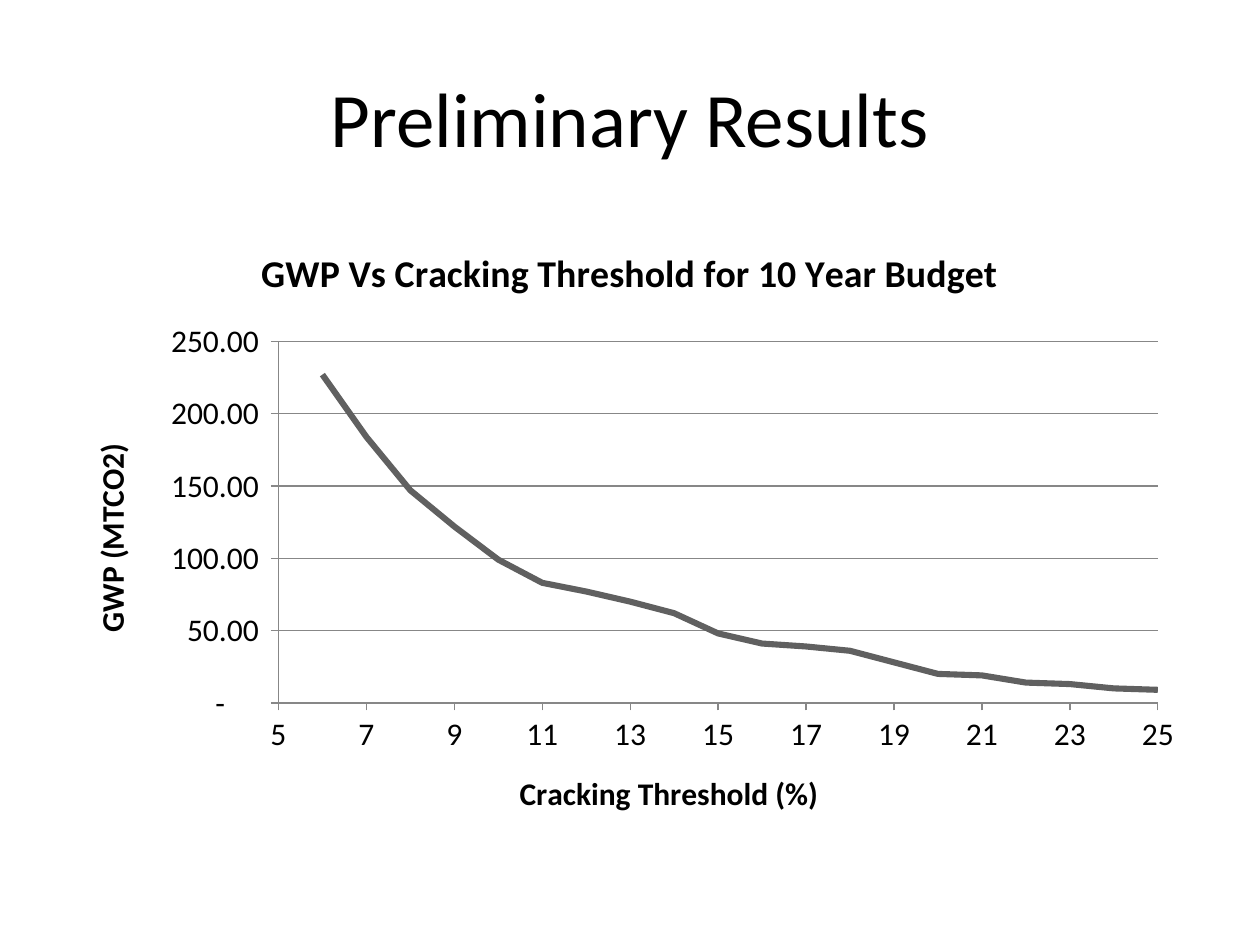
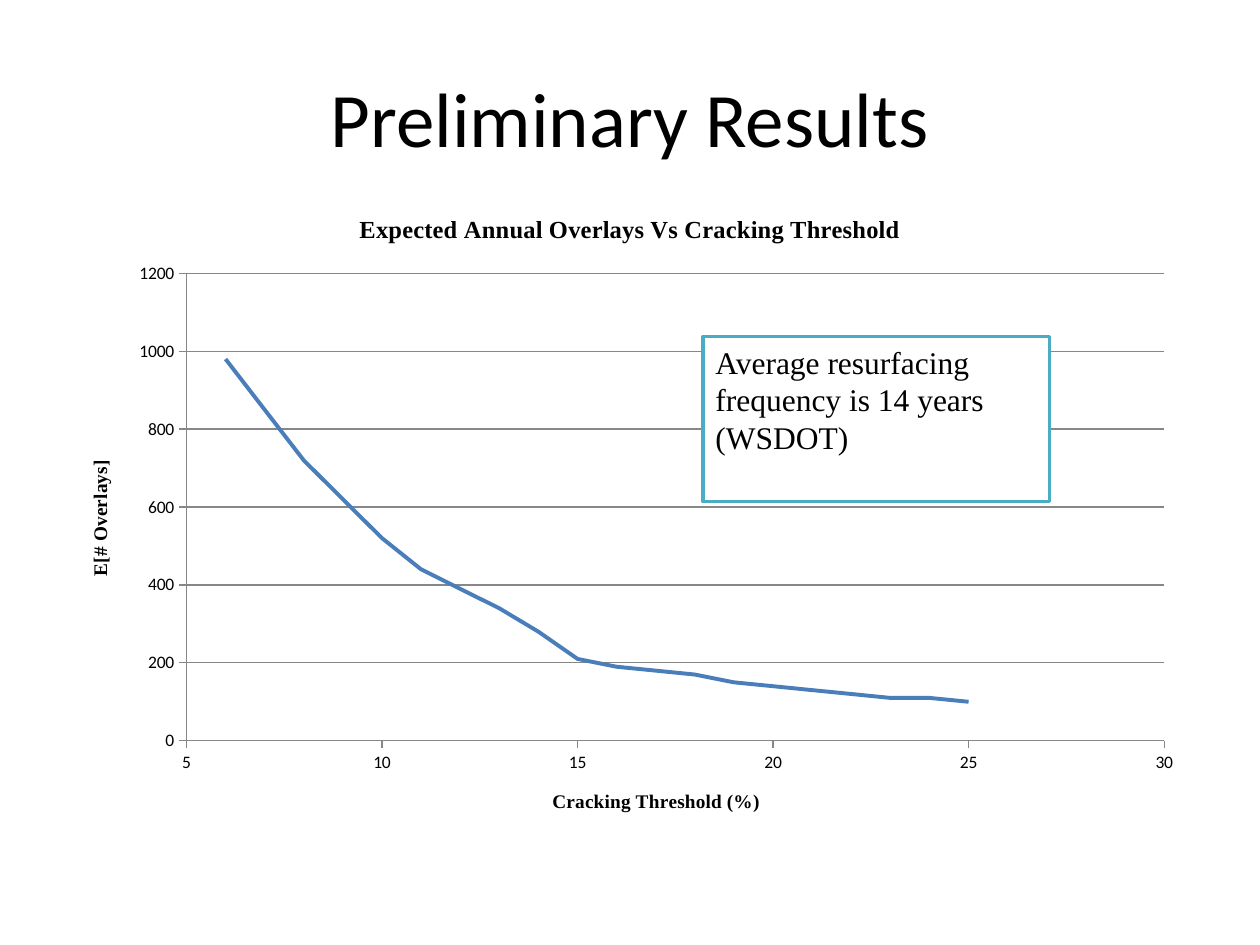
from dataclasses import dataclass

from lxml.etree import SubElement
from pptx import Presentation
from pptx.chart.data import XyChartData
from pptx.dml.color import RGBColor
from pptx.enum.chart import XL_CHART_TYPE, XL_TICK_LABEL_POSITION, XL_TICK_MARK
from pptx.enum.shapes import MSO_SHAPE
from pptx.enum.text import MSO_ANCHOR, PP_ALIGN
from pptx.oxml.ns import qn
from pptx.util import Pt

PX = 9144  # EMU per px, 100 px to the inch


@dataclass(frozen=True)
class Theme:
    text: RGBColor = RGBColor(0, 0, 0)
    paper: RGBColor = RGBColor(255, 255, 255)
    rule: RGBColor = RGBColor(0x87, 0x87, 0x87)
    gray: RGBColor = RGBColor(0x60, 0x60, 0x60)
    blue: RGBColor = RGBColor(0x4A, 0x7E, 0xBB)
    teal: RGBColor = RGBColor(0x4B, 0xAC, 0xC6)
    sans: str = "Calibri"
    serif: str = "Times New Roman"
    heading_size: int = 44
    note_size: int = 18


THEME = Theme()
THRESHOLDS = range(6, 26)
RESULTS = [
    dict(
        title="GWP Vs Cracking Threshold for 10 Year Budget",
        y_title="GWP (MTCO2)",
        values=[227, 184, 147, 122, 99, 83, 77, 70, 62, 48,
                41, 39, 36, 28, 20, 19, 14, 13, 10, 9],
        frame=(50, 175, 900, 495), plot=(221, 271, 698, 287),
        x_scale=(5, 25, 2), y_scale=(0, 250, 50),
        y_format='_(* #,##0.00_);_(* \\(#,##0.00\\);_(* "-"??_);_(@_)',
        title_font=THEME.sans, sizes=(21.6, 18, 18),
        color=THEME.gray, width=3.5,
    ),
    dict(
        title="Expected Annual Overlays Vs Cracking Threshold",
        y_title="E[# Overlays]",
        values=[980, 850, 720, 620, 520, 440, 390, 340, 280, 210,
                190, 180, 170, 150, 140, 130, 120, 110, 110, 100],
        frame=(50, 150, 900, 517), plot=(148, 217, 776, 371),
        x_scale=(5, 30, 5), y_scale=(0, 1200, 200),
        y_format="General",
        title_font=THEME.serif, sizes=(14, 11, 10),
        color=THEME.blue, width=2.25,
    ),
]


def px(*lengths):
    return [length * PX for length in lengths]


def add_text(paragraph, text, size, font, bold=False):
    run = paragraph.add_run()
    run.text = text
    run.font.size = Pt(size)
    run.font.name = font
    run.font.bold = bold
    run.font.color.rgb = THEME.text


deck = Presentation()
deck.slide_width, deck.slide_height = px(1000, 750)

for result in RESULTS:
    slide = deck.slides.add_slide(deck.slide_layouts[6])
    heading = slide.shapes.add_textbox(*px(50, 30, 900, 125)).text_frame
    heading.word_wrap = True
    heading.vertical_anchor = MSO_ANCHOR.MIDDLE
    heading.paragraphs[0].alignment = PP_ALIGN.CENTER
    add_text(heading.paragraphs[0], "Preliminary Results", THEME.heading_size, THEME.sans)

    data = XyChartData()
    points = data.add_series("Series 1")
    for threshold, value in zip(THRESHOLDS, result["values"]):
        points.add_data_point(threshold, value)
    chart = slide.shapes.add_chart(
        XL_CHART_TYPE.XY_SCATTER_SMOOTH_NO_MARKERS, *px(*result["frame"]), data
    ).chart
    title_size, axis_title_size, label_size = result["sizes"]
    chart.has_legend = False
    chart.font.size = Pt(label_size)
    chart.font.name = THEME.sans
    chart.font.color.rgb = THEME.text
    add_text(chart.chart_title.text_frame.paragraphs[0], result["title"],
             title_size, result["title_font"], bold=True)
    chart.chart_title.include_in_layout = False

    curve = chart.plots[0].series[0]
    chart.plots[0].vary_by_categories = False
    curve.smooth = True
    curve.format.line.color.rgb = result["color"]
    curve.format.line.width = Pt(result["width"])

    for axis, caption, scale, number_format in (
        (chart.category_axis, "Cracking Threshold (%)", result["x_scale"], "General"),
        (chart.value_axis, result["y_title"], result["y_scale"], result["y_format"]),
    ):
        axis.minimum_scale, axis.maximum_scale, axis.major_unit = scale
        axis.major_tick_mark = XL_TICK_MARK.OUTSIDE
        axis.minor_tick_mark = XL_TICK_MARK.NONE
        axis.tick_label_position = XL_TICK_LABEL_POSITION.NEXT_TO_AXIS
        axis.tick_labels.number_format = number_format
        axis.tick_labels.number_format_is_linked = False
        axis.format.line.color.rgb = THEME.rule
        axis.format.line.width = Pt(0.75)
        add_text(axis.axis_title.text_frame.paragraphs[0], caption,
                 axis_title_size, result["title_font"], bold=True)
    chart.category_axis.has_major_gridlines = False
    chart.value_axis.has_major_gridlines = True
    gridline = chart.value_axis.major_gridlines.format.line
    gridline.color.rgb = THEME.rule
    gridline.width = Pt(0.75)

    # Pin the inner plot area, given as fractions of the chart frame.
    plot_area = chart.plots[0]._element.getparent()
    for old_layout in plot_area.findall(qn("c:layout")):
        plot_area.remove(old_layout)
    layout = SubElement(plot_area, qn("c:layout"))
    plot_area.insert(0, layout)
    manual = SubElement(layout, qn("c:manualLayout"))
    left, top, width, height = result["frame"]
    plot_left, plot_top, plot_width, plot_height = result["plot"]
    for tag, setting in (
        ("layoutTarget", "inner"), ("xMode", "edge"), ("yMode", "edge"),
        ("x", (plot_left - left) / width), ("y", (plot_top - top) / height),
        ("w", plot_width / width), ("h", plot_height / height),
    ):
        SubElement(manual, qn(f"c:{tag}")).set("val", str(setting))

# The remark on resurfacing belongs to the overlays slide, the last one built.
remark = slide.shapes.add_shape(MSO_SHAPE.RECTANGLE, *px(558, 267, 275, 131))
remark.shadow.inherit = False
remark.fill.solid()
remark.fill.fore_color.rgb = THEME.paper
remark.line.color.rgb = THEME.teal
remark.line.width = Pt(2)
remark_text = remark.text_frame
remark_text.word_wrap = True
remark_text.vertical_anchor = MSO_ANCHOR.TOP
for index, sentence in enumerate(("Average resurfacing frequency is 14 years", "(WSDOT)")):
    paragraph = remark_text.add_paragraph() if index else remark_text.paragraphs[0]
    paragraph.alignment = PP_ALIGN.LEFT
    add_text(paragraph, sentence, THEME.note_size, THEME.serif)

deck.save("out.pptx")
